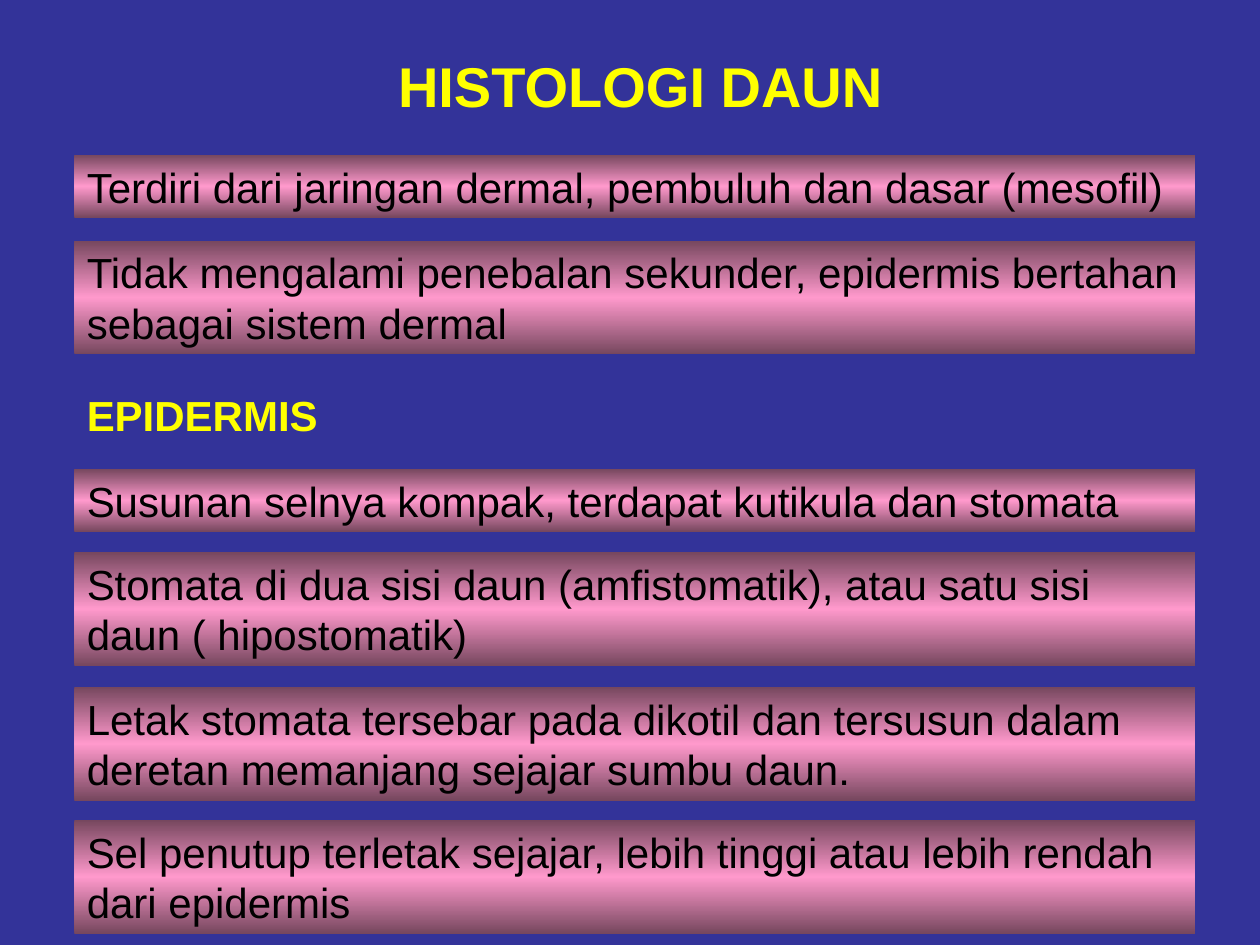
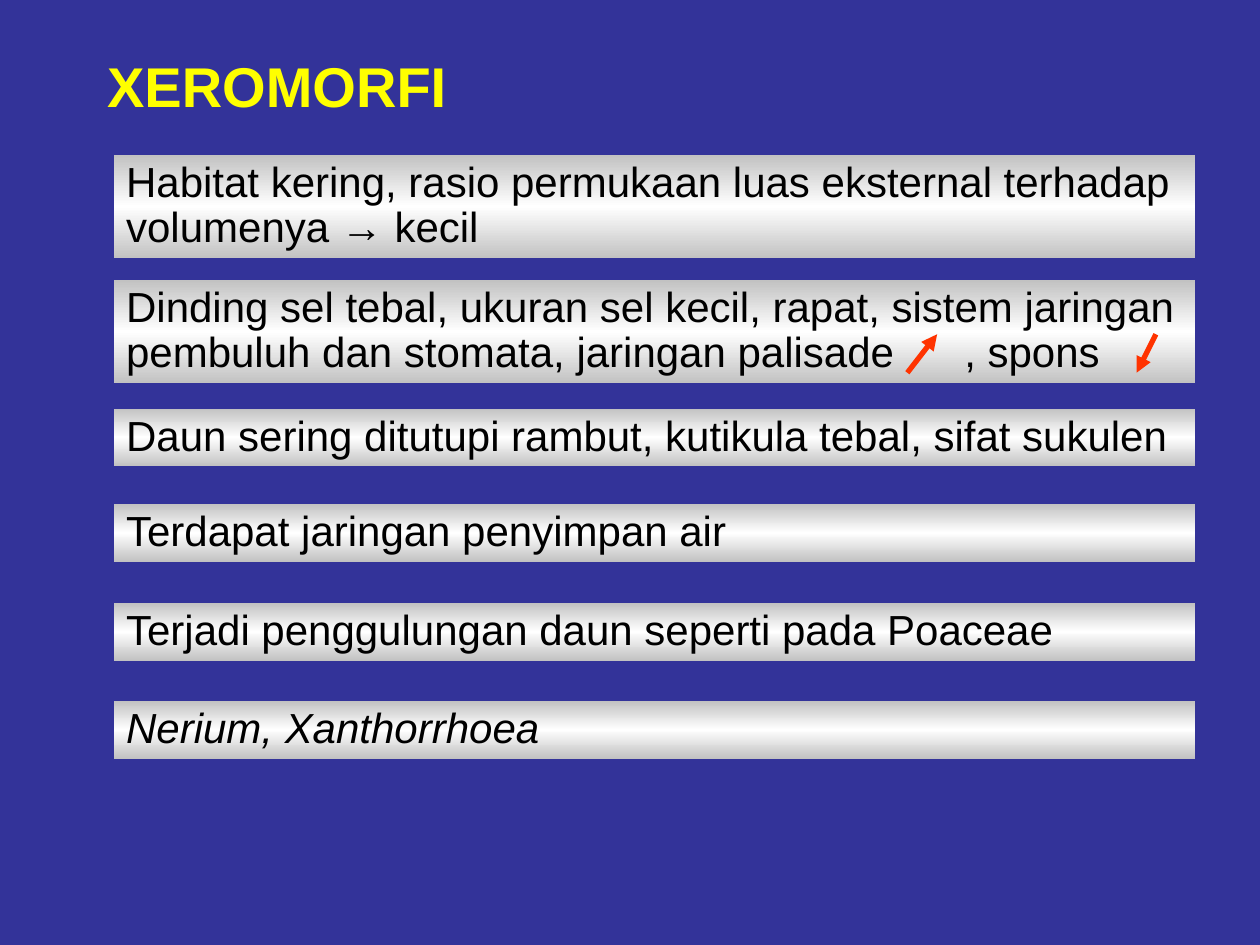
import copy
import pptx
import pptx.util
import pptx.dml.color
import pptx.enum.shapes
import pptx.enum.text
import pptx.oxml
import pptx.oxml.ns

Pt = pptx.util.Pt
qn = pptx.oxml.ns.qn
align = pptx.enum.text.PP_ALIGN
anchor = pptx.enum.text.MSO_ANCHOR


def rgb(code):
    return pptx.dml.color.RGBColor.from_string(code)


def write(shape, text, size, color, bold=False, side=align.LEFT):
    frame = shape.text_frame
    frame.word_wrap = True
    frame.vertical_anchor = anchor.TOP
    para = frame.paragraphs[0]
    para.text = text
    para.alignment = side
    para.font.name = "Arial"
    para.font.size = Pt(size)
    para.font.bold = bold
    para.font.color.rgb = rgb(color)
    return para


navy, yellow, black, red = "333399", "FFFF00", "000000", "FF3300"
pink = ("76475E", "FF99CC")
gray = ("C2C2C2", "FFFFFF")

leaf = [
    (88.5, 36, "Terdiri dari jaringan dermal, pembuluh dan dasar (mesofil)"),
    (137.5, 65, "Tidak mengalami penebalan sekunder, epidermis bertahan sebagai sistem dermal"),
    (268, 36, "Susunan selnya kompak, terdapat kutikula dan stomata"),
    (315.5, 65, "Stomata di dua sisi daun (amfistomatik), atau satu sisi daun ( hipostomatik)"),
    (392.5, 65, "Letak stomata tersebar pada dikotil dan tersusun dalam deretan memanjang sejajar sumbu daun."),
    (468.5, 65, "Sel penutup terletak sejajar, lebih tinggi atau lebih rendah dari epidermis"),
]
dry = [
    (88.5, 59, "Habitat kering, rasio permukaan luas eksternal terhadap volumenya → kecil"),
    (160, 59, "Dinding sel tebal, ukuran sel kecil, rapat, sistem jaringan pembuluh dan stomata, jaringan palisade\t, spons"),
    (233.5, 33, "Daun sering ditutupi rambut, kutikula tebal, sifat sukulen"),
    (288, 33, "Terdapat jaringan penyimpan air"),
    (344.5, 33, "Terjadi penggulungan daun seperti pada Poaceae"),
    (400.5, 33, "Nerium, Xanthorrhoea"),
]
pages = [
    ("HISTOLOGI DAUN", 184.5, 363, align.CENTER, 42.5, 640.5, 1.0, pink, leaf),
    ("XEROMORFI", 54, 227, align.LEFT, 65, 618, 0.9, gray, dry),
]

prs = pptx.Presentation()
prs.slide_width, prs.slide_height = Pt(720), Pt(540)
back = prs.slide_master.background.fill
back.solid()
back.fore_color.rgb = rgb(navy)

for name, start, span, side, left, width, space, tones, bands in pages:
    slide = prs.slides.add_slide(prs.slide_layouts[5])
    title = slide.shapes.title
    title.left, title.top, title.width, title.height = Pt(start), Pt(26), Pt(span), Pt(46)
    write(title, name, 32, yellow, True, side)

    for top, height, text in bands:
        band = slide.shapes.add_shape(
            pptx.enum.shapes.MSO_SHAPE.RECTANGLE, Pt(left), Pt(top), Pt(width), Pt(height))
        band.shadow.inherit = False
        band.line.fill.background()
        band.fill.gradient()
        band.fill.gradient_angle = 270
        stops = band._element.spPr.find(".//" + qn("a:gsLst"))
        mid = copy.deepcopy(stops[0])
        mid.set("pos", "50000")
        stops.insert(1, mid)
        edge, core = tones
        for stop, tone in zip(band.fill.gradient_stops, (edge, core, edge)):
            stop.color.rgb = rgb(tone)
        para = write(band, text, 24, black)
        para.line_spacing = space
        para.font.italic = text.startswith("Nerium")
        if "\t" in text:
            tabs = pptx.oxml.parse_xml(
                '<a:tabLst %s><a:tab pos="%d" algn="l"/></a:tabLst>'
                % (pptx.oxml.ns.nsdecls("a"), Pt(479)))
            para._p.get_or_add_pPr().find(qn("a:defRPr")).addprevious(tabs)

head = prs.slides[0].shapes.add_textbox(Pt(42.5), Pt(219), Pt(159), Pt(36))
write(head, "EPIDERMIS", 24, yellow, True)

for x1, y1, x2, y2 in [(518.5, 213, 535.5, 191), (660.5, 191, 649.5, 213)]:
    arrow = prs.slides[1].shapes.add_connector(
        pptx.enum.shapes.MSO_CONNECTOR.STRAIGHT, Pt(x1), Pt(y1), Pt(x2), Pt(y2))
    arrow.line.width = Pt(3)
    arrow.line.color.rgb = rgb(red)
    tip = arrow.line._get_or_add_ln().makeelement(qn("a:tailEnd"), {"type": "triangle"})
    arrow.line._get_or_add_ln().append(tip)
    props = arrow._element.spPr
    props.append(props.makeelement(qn("a:effectLst"), {}))

prs.save("out.pptx")
